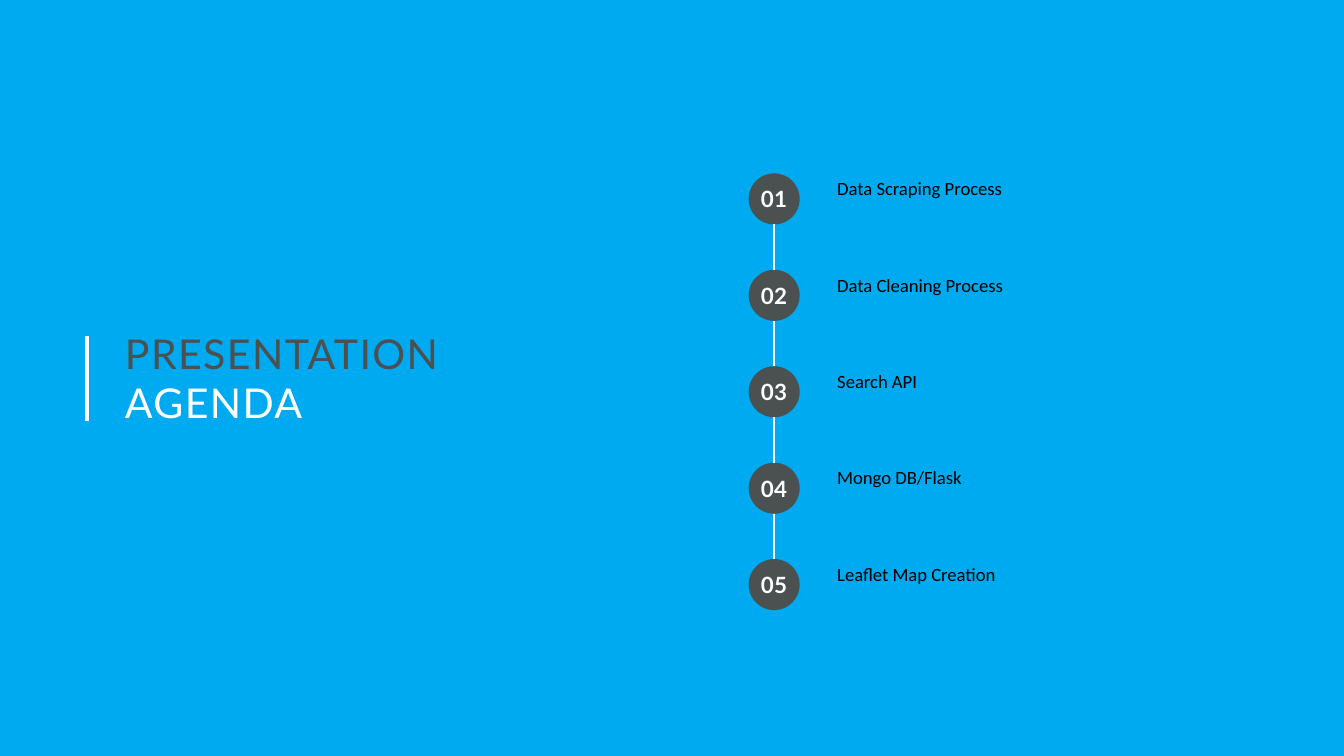
from dataclasses import dataclass

from lxml.etree import SubElement
from pptx import Presentation
from pptx.dml.color import RGBColor
from pptx.enum.shapes import MSO_CONNECTOR, MSO_SHAPE
from pptx.enum.text import MSO_ANCHOR, PP_ALIGN
from pptx.oxml.ns import qn
from pptx.util import Inches, Pt

BLUE = "00AAF0"
GRAY = "4B5050"
WHITE = "FFFFFF"
BLACK = "000000"

SLIDE_WIDTH = 10
SLIDE_HEIGHT = SLIDE_WIDTH * 9 / 16

LABELS = [
    "Data Scraping Process",
    "Data Cleaning Process",
    "Search API",
    "Mongo DB/Flask",
    "Leaflet Map Creation",
]
CIRCLE_LEFT = 5.57
CIRCLE_SIZE = 0.38
FIRST_TOP = 1.29
LAST_TOP = 4.16
STEP = (LAST_TOP - FIRST_TOP) / (len(LABELS) - 1)


@dataclass
class AgendaItem:
    number: int
    label: str

    @property
    def top(self) -> float:
        return FIRST_TOP + (self.number - 1) * STEP


AGENDA = [AgendaItem(number, label) for number, label in enumerate(LABELS, start=1)]


def set_fill(fill, color: str) -> None:
    fill.solid()
    fill.fore_color.rgb = RGBColor.from_string(color)


def write_text(
    shape,
    lines: list[str],
    *,
    colors: list[str],
    size: float,
    font: str,
    bold: bool = False,
    spacing: float = 0,
    line_spacing: float = 1.0,
    align=PP_ALIGN.LEFT,
    anchor=MSO_ANCHOR.TOP,
    wrap: bool = True,
) -> None:
    frame = shape.text_frame
    frame.word_wrap = wrap
    frame.vertical_anchor = anchor
    frame.margin_left = frame.margin_right = 0
    frame.margin_top = frame.margin_bottom = 0
    for index, (line, color) in enumerate(zip(lines, colors)):
        para = frame.add_paragraph() if index else frame.paragraphs[0]
        para.alignment = align
        para.line_spacing = line_spacing
        span = para.add_run()
        span.text = line
        span.font.size = Pt(size)
        span.font.name = font
        span.font.bold = bold
        span.font.color.rgb = RGBColor.from_string(color)
        if spacing:
            span.font._element.set("spc", str(round(spacing * 100)))


def add_vertical_line(page, x: float, top: float, bottom: float, width: float) -> None:
    line = page.shapes.add_connector(
        MSO_CONNECTOR.STRAIGHT, Inches(x), Inches(top), Inches(x), Inches(bottom)
    )
    set_fill(line.line.fill, WHITE)
    line.line.width = Pt(width)
    SubElement(line._element.spPr, qn("a:effectLst"))


def add_title(page) -> None:
    title = page.shapes.title
    title.left, title.top = Inches(0.93), Inches(2.44)
    title.width, title.height = Inches(3.96), Inches(0.74)
    write_text(
        title,
        ["PRESENTATION", "AGENDA"],
        colors=[GRAY, WHITE],
        size=22,
        font="Lato",
        spacing=0.8,
    )


def add_agenda_item(page, item: AgendaItem) -> None:
    label = page.shapes.add_textbox(
        Inches(6.23), Inches(item.top + 0.01), Inches(1.8), Inches(0.18)
    )
    write_text(
        label, [item.label], colors=[BLACK], size=10, font="Calibri", line_spacing=1.1
    )

    circle = page.shapes.add_shape(
        MSO_SHAPE.OVAL,
        Inches(CIRCLE_LEFT),
        Inches(item.top),
        Inches(CIRCLE_SIZE),
        Inches(CIRCLE_SIZE),
    )
    circle.shadow.inherit = False
    set_fill(circle.fill, GRAY)
    circle.line.fill.background()
    write_text(
        circle,
        [f"{item.number:02d}"],
        colors=[WHITE],
        size=12,
        font="Lato",
        bold=True,
        spacing=0.2,
        align=PP_ALIGN.CENTER,
        anchor=MSO_ANCHOR.MIDDLE,
        wrap=False,
    )


def main() -> None:
    deck = Presentation()
    deck.slide_width, deck.slide_height = Inches(SLIDE_WIDTH), Inches(SLIDE_HEIGHT)
    page = deck.slides.add_slide(deck.slide_layouts[5])
    set_fill(page.background.fill, BLUE)

    add_title(page)
    add_vertical_line(page, 0.65, 2.5, 3.13, 2.25)
    for item in AGENDA:
        add_agenda_item(page, item)
    for upper, lower in zip(AGENDA, AGENDA[1:]):
        add_vertical_line(
            page, CIRCLE_LEFT + CIRCLE_SIZE / 2, upper.top + CIRCLE_SIZE, lower.top, 1
        )

    deck.save("out.pptx")


if __name__ == "__main__":
    main()
